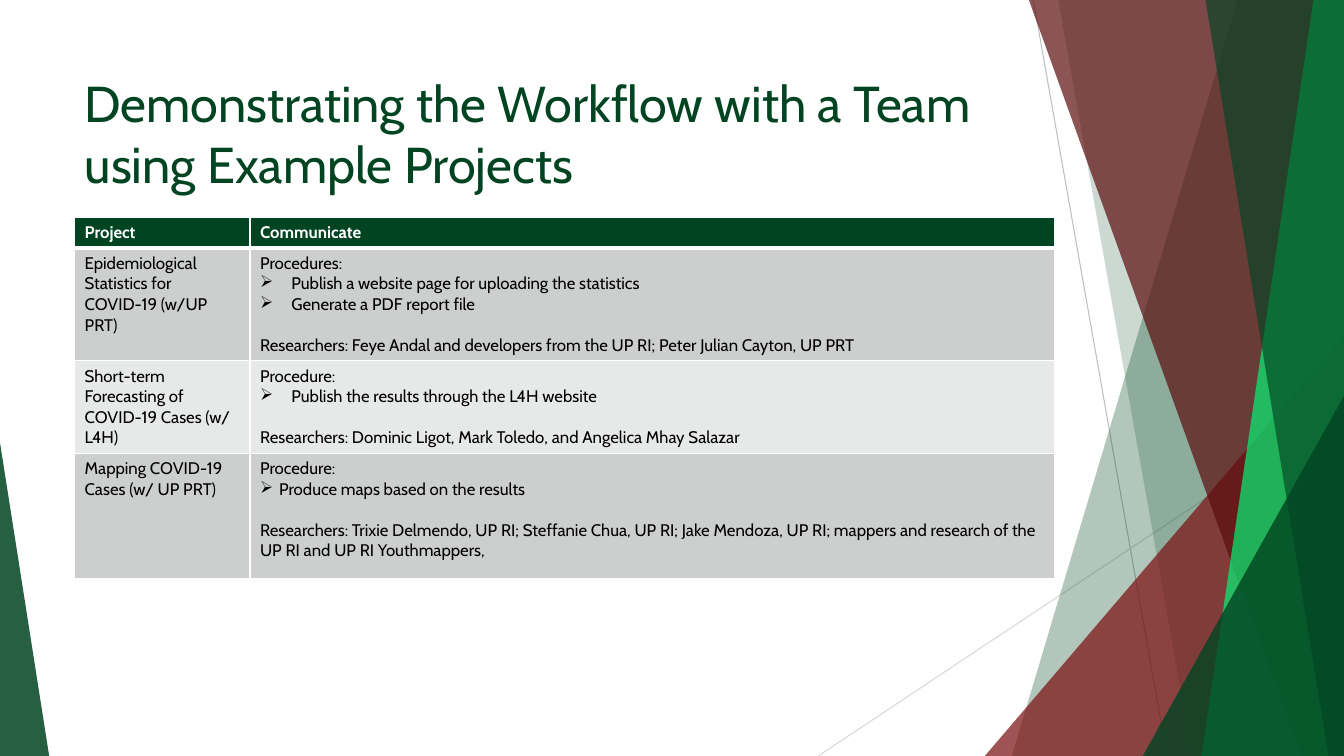
import pptx
import pptx.dml.color
import pptx.enum.shapes
import pptx.enum.text
import pptx.oxml
import pptx.oxml.ns
import pptx.util
from lxml import etree

Cm = pptx.util.Cm
Pt = pptx.util.Pt
qn = pptx.oxml.ns.qn

FONT = "Cabin"
WIDTH, HEIGHT = 33.87, 19.05
COLORS = {
    "green": "014421",
    "maroon": "7B1113",
    "dark_maroon": "5C0D0E",
    "bright_green": "04F275",
    "white": "FFFFFF",
    "black": "000000",
    "line": "BFBFBF",
    "light_line": "D9D9D9",
    "band_dark": "CCCFCD",
    "band_light": "E7E9E8",
}
COL_WIDTHS = [4.42, 20.27]
ROW_HEIGHTS = [0.77, 2.82, 2.33, 3.15]
HEADERS = ["Project", "Communicate"]
PROJECTS = [
    ("Epidemiological Statistics for COVID-19 (w/UP PRT)",
     "Procedures:",
     ["Publish a website page for uploading the statistics",
      "Generate a PDF report file"], 0.79,
     "Researchers: Feye Andal and developers from the UP RI; "
     "Peter Julian Cayton, UP PRT"),
    ("Short-term Forecasting of COVID-19 Cases (w/ L4H)",
     "Procedure:",
     ["Publish the results through the L4H website"], 0.79,
     "Researchers: Dominic Ligot, Mark Toledo, and Angelica Mhay Salazar"),
    ("Mapping COVID-19 Cases (w/ UP PRT)",
     "Procedure:",
     ["Produce maps based on the results"], 0.48,
     "Researchers: Trixie Delmendo, UP RI; Steffanie Chua, UP RI; "
     "Jake Mendoza, UP RI; mappers and research of the UP RI and "
     "UP RI Youthmappers,"),
]


def rgb(name):
    return pptx.dml.color.RGBColor.from_string(COLORS[name])


def add_text(tf, text, size=12, color="black", bold=False, before=0,
             indent=0, first=False):
    p = tf.paragraphs[0] if first else tf.add_paragraph()
    p.alignment = pptx.enum.text.PP_ALIGN.LEFT
    if before:
        p.space_before = Pt(before)
    if indent:
        pPr = p._p.get_or_add_pPr()
        pPr.set("marL", str(Cm(indent)))
        pPr.set("indent", str(-Cm(indent)))
        etree.SubElement(pPr, qn("a:buChar")).set("char", "➢")
    r = p.add_run()
    r.text = text
    r.font.name = FONT
    r.font.size = Pt(size)
    r.font.bold = bold
    r.font.color.rgb = rgb(color)


def paint(sp, color, opacity):
    sp.shadow.inherit = False
    sp.line.fill.background()
    sp.fill.solid()
    sp.fill.fore_color.rgb = rgb(color)
    clr = sp._element.spPr.find(".//" + qn("a:srgbClr"))
    etree.SubElement(clr, qn("a:alpha")).set("val", str(opacity * 1000))


def add_facet(s, top_x, bottom_x, color, opacity):
    fb = s.shapes.build_freeform(Cm(top_x), 0)
    fb.add_line_segments([(Cm(WIDTH), 0), (Cm(WIDTH), Cm(HEIGHT)),
                          (Cm(bottom_x), Cm(HEIGHT))])
    paint(fb.convert_to_shape(), color, opacity)


def add_corner(s, left, top, width, apex, color, opacity):
    sp = s.shapes.add_shape(
        pptx.enum.shapes.MSO_SHAPE.ISOSCELES_TRIANGLE,
        Cm(left), Cm(top), Cm(width), Cm(HEIGHT - top))
    sp.adjustments[0] = apex
    paint(sp, color, opacity)


def add_line(s, x1, y1, x2, y2, color):
    cn = s.shapes.add_connector(pptx.enum.shapes.MSO_CONNECTOR.STRAIGHT,
                                Cm(x1), Cm(y1), Cm(x2), Cm(y2))
    cn.line.color.rgb = rgb(color)
    cn.line.width = Pt(0.75)
    etree.SubElement(cn._element.spPr, qn("a:effectLst"))


def add_decoration(s):
    add_line(s, 26.04, 0, 29.41, HEIGHT, "line")
    add_line(s, WIDTH, 10.24, 20.62, HEIGHT, "light_line")
    add_facet(s, 31.19, 25.5, "green", 30)
    add_facet(s, 26.67, 30.05, "green", 20)
    add_corner(s, 24.82, 8.46, WIDTH - 24.82, 1, "maroon", 72)
    add_facet(s, 25.93, 32.79, "dark_maroon", 70)
    add_facet(s, 33.1, 30.28, "bright_green", 70)
    add_facet(s, 30.38, 33.48, "green", 65)
    add_corner(s, 28.8, 9.98, WIDTH - 28.8, 1, "green", 80)
    add_corner(s, 0, 11.15, 1.24, 0, "green", 85)


def add_title(s, text):
    sp = s.shapes.title
    sp.left, sp.top, sp.width, sp.height = Cm(1.88), Cm(1.7), Cm(23.88), Cm(3.66)
    tf = sp.text_frame
    tf.word_wrap = True
    tf.auto_size = pptx.enum.text.MSO_AUTO_SIZE.NONE
    tf.vertical_anchor = pptx.enum.text.MSO_ANCHOR.TOP
    add_text(tf, text, size=36, color="green", first=True)


def style_cell(cell, fill, top=1, bottom=1):
    tcPr = cell._tc.get_or_add_tcPr()
    for tag, width in (("lnL", 1), ("lnR", 1), ("lnT", top), ("lnB", bottom)):
        ln = etree.SubElement(tcPr, qn("a:" + tag), w=str(Pt(width)))
        solid = etree.SubElement(ln, qn("a:solidFill"))
        etree.SubElement(solid, qn("a:srgbClr"), val=COLORS["white"])
    cell.fill.solid()
    cell.fill.fore_color.rgb = rgb(fill)


def add_project_table(s):
    table = s.shapes.add_table(
        len(ROW_HEIGHTS), len(COL_WIDTHS), Cm(1.88), Cm(5.48),
        Cm(sum(COL_WIDTHS)), Cm(sum(ROW_HEIGHTS))).table
    for col, width in zip(table.columns, COL_WIDTHS):
        col.width = Cm(width)
    for row, height in zip(table.rows, ROW_HEIGHTS):
        row.height = Cm(height)
    for cell, header in zip(table.rows[0].cells, HEADERS):
        style_cell(cell, "green", bottom=3)
        add_text(cell.text_frame, header, color="white", bold=True, first=True)
    for i, (name, heading, steps, indent, people) in enumerate(PROJECTS, 1):
        project, communicate = table.rows[i].cells
        for cell in (project, communicate):
            style_cell(cell, "band_dark" if i % 2 else "band_light",
                       top=3 if i == 1 else 1)
        add_text(project.text_frame, name, first=True)
        tf = communicate.text_frame
        add_text(tf, heading, first=True)
        for step in steps:
            add_text(tf, step, indent=indent)
        add_text(tf, people, before=14.6)


def main():
    prs = pptx.Presentation()
    prs.slide_width, prs.slide_height = Cm(WIDTH), Cm(HEIGHT)
    s = prs.slides.add_slide(prs.slide_layouts[5])
    add_decoration(s)
    add_title(s, "Demonstrating the Workflow with a Team using Example Projects")
    add_project_table(s)
    prs.save("out.pptx")


if __name__ == "__main__":
    main()
